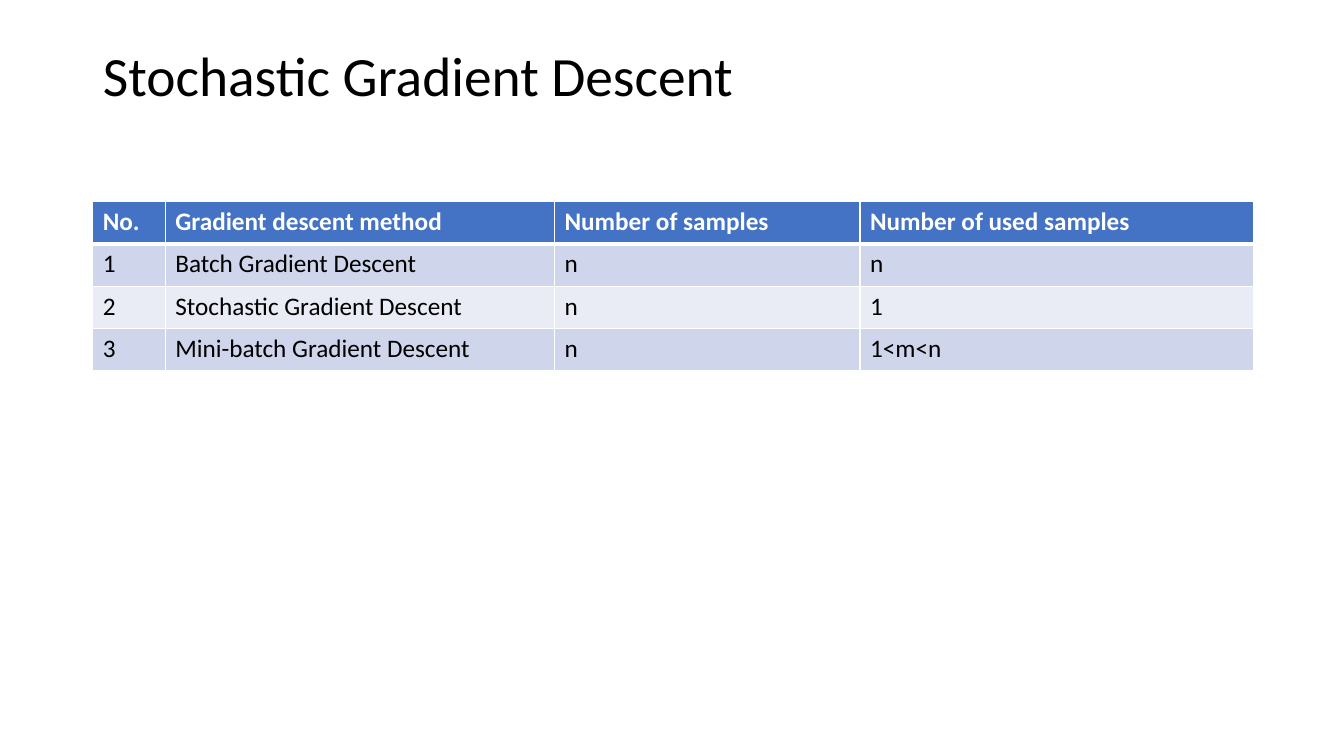
from lxml.etree import SubElement
from pptx import Presentation
from pptx.dml.color import RGBColor
from pptx.enum.text import MSO_ANCHOR, MSO_AUTO_SIZE, PP_ALIGN
from pptx.oxml.ns import qn
from pptx.util import Inches, Pt

COLORS = {
    "text": "000000",
    "white": "FFFFFF",
    "header": "4472C4",
    "odd": "CFD5EA",
    "even": "E9EBF5",
}
ROWS = [
    ["No.", "Gradient descent method", "Number of samples", "Number of used samples"],
    ["1", "Batch Gradient Descent", "n", "n"],
    ["2", "Stochastic Gradient Descent", "n", "1"],
    ["3", "Mini-batch Gradient Descent", "n", "1<m<n"],
]
COL_WIDTHS = [0.72, 3.86, 3.03, 3.9]
ROW_HEIGHT = 0.42


def write(tf, text, size=18, color="text", bold=False, spacing=1.0):
    p = tf.paragraphs[0]
    p.alignment = PP_ALIGN.LEFT
    p.line_spacing = spacing
    r = p.add_run()
    r.text = text
    r.font.name = "Calibri"
    r.font.size = Pt(size)
    r.font.bold = bold
    r.font.color.rgb = RGBColor.from_string(COLORS[color])


def add_title(s, text):
    sp = s.shapes.title
    sp.left, sp.top = Inches(0.92), Inches(0.4)
    sp.width, sp.height = Inches(11.5), Inches(0.76)
    tf = sp.text_frame
    tf.auto_size = MSO_AUTO_SIZE.NONE
    tf.vertical_anchor = MSO_ANCHOR.MIDDLE
    write(tf, text, size=39.6, spacing=0.9)


def set_borders(cell, top, bottom):
    tc_pr = cell._tc.get_or_add_tcPr()
    for side, width in (("L", 1), ("R", 1), ("T", top), ("B", bottom)):
        ln = SubElement(tc_pr, qn(f"a:ln{side}"), w=str(Pt(width)))
        fill = SubElement(ln, qn("a:solidFill"))
        SubElement(fill, qn("a:srgbClr"), val=COLORS["white"])


def format_cell(cell, text, row):
    is_header = row == 0
    set_borders(cell, top=3 if row == 1 else 1, bottom=3 if is_header else 1)
    fill = "header" if is_header else "odd" if row % 2 else "even"
    cell.fill.solid()
    cell.fill.fore_color.rgb = RGBColor.from_string(COLORS[fill])
    write(cell.text_frame, text, color="white" if is_header else "text", bold=is_header)


def add_method_table(s):
    frame = s.shapes.add_table(
        len(ROWS), len(COL_WIDTHS), Inches(0.92), Inches(2),
        Inches(sum(COL_WIDTHS)), Inches(ROW_HEIGHT * len(ROWS)),
    )
    table = frame.table
    for column, width in zip(table.columns, COL_WIDTHS):
        column.width = Inches(width)
    for i, values in enumerate(ROWS):
        table.rows[i].height = Inches(ROW_HEIGHT)
        for j, text in enumerate(values):
            format_cell(table.cell(i, j), text, i)


def main():
    prs = Presentation()
    prs.slide_width, prs.slide_height = Inches(13.33), Inches(7.5)
    s = prs.slides.add_slide(prs.slide_layouts[5])
    add_title(s, "Stochastic Gradient Descent")
    add_method_table(s)
    prs.save("out.pptx")


if __name__ == "__main__":
    main()
